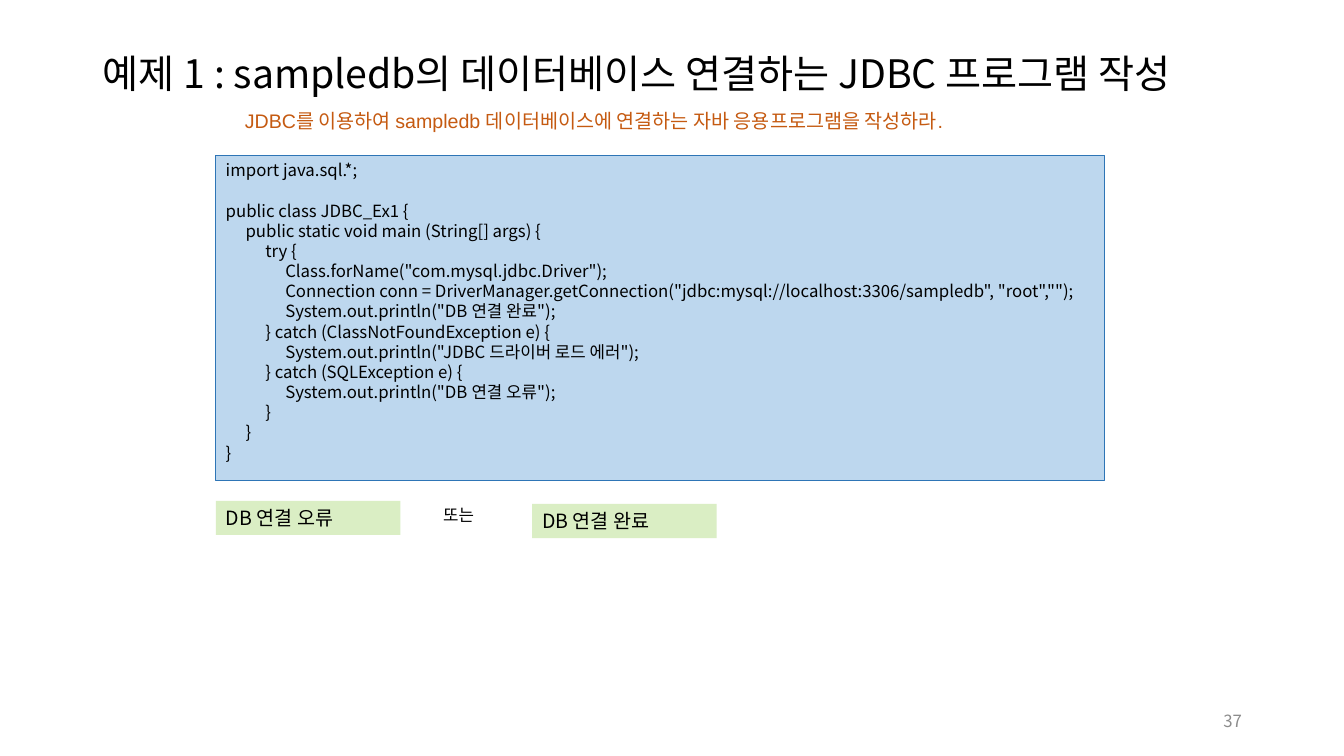
from dataclasses import dataclass
from typing import Optional

from lxml.etree import SubElement
from pptx import Presentation
from pptx.dml.color import RGBColor
from pptx.enum.shapes import MSO_SHAPE
from pptx.enum.text import MSO_ANCHOR, PP_ALIGN
from pptx.oxml.ns import qn
from pptx.slide import Slide
from pptx.util import Cm, Pt

BLACK = RGBColor(0x00, 0x00, 0x00)
GRAY = RGBColor(0x8C, 0x8C, 0x8C)
ORANGE = RGBColor(0xC5, 0x5A, 0x11)
BLUE = RGBColor(0x2E, 0x75, 0xB6)
LIGHT_BLUE = RGBColor(0xBD, 0xD7, 0xEE)
LIGHT_GREEN = RGBColor(0xDA, 0xEE, 0xC4)

KOREAN_FONT = "Noto Sans CJK KR"
CODE_LINE_HEIGHT = Pt(14.4)
CODE_INDENT = Cm(0.5)
CODE_LEVELS = 3

CODE = """import java.sql.*;

public class JDBC_Ex1 {
\tpublic static void main (String[] args) {
\t\ttry {
\t\t\tClass.forName("com.mysql.jdbc.Driver");
\t\t\tConnection conn = DriverManager.getConnection("jdbc:mysql://localhost:3306/sampledb", "root","");
\t\t\tSystem.out.println("DB 연결 완료");
\t\t} catch (ClassNotFoundException e) {
\t\t\tSystem.out.println("JDBC 드라이버 로드 에러");
\t\t} catch (SQLException e) {
\t\t\tSystem.out.println("DB 연결 오류");
\t\t}
\t}
}"""


@dataclass(frozen=True)
class Box:
    text: str
    left: float
    top: float
    width: float
    height: float
    size: float
    color: RGBColor = BLACK
    font: str = KOREAN_FONT
    fill: Optional[RGBColor] = None
    line: Optional[RGBColor] = None
    anchor: MSO_ANCHOR = MSO_ANCHOR.TOP
    align: PP_ALIGN = PP_ALIGN.LEFT
    wrap: bool = True
    is_code: bool = False


BOXES = [
    Box("예제 1 : sampledb의 데이터베이스 연결하는 JDBC 프로그램 작성",
        2.34, 0, 29.82, 3.68, 28, anchor=MSO_ANCHOR.MIDDLE),
    Box("JDBC를 이용하여 sampledb 데이터베이스에 연결하는 자바 응용프로그램을 작성하라.",
        5.92, 2.62, 22.63, 0.86, 14, color=ORANGE, font="Arial"),
    Box(CODE, 5.44, 3.91, 22.4, 8.2, 12, fill=LIGHT_BLUE, line=BLUE, is_code=True),
    Box("DB 연결 오류", 5.44, 12.62, 4.65, 0.86, 14, fill=LIGHT_GREEN),
    Box("또는", 10.92, 12.6, 1.37, 0.76, 12, wrap=False),
    Box("DB 연결 완료", 13.41, 12.7, 4.65, 0.86, 14, fill=LIGHT_GREEN),
    Box("37", 23.93, 17.65, 7.62, 1.02, 12, color=GRAY,
        anchor=MSO_ANCHOR.MIDDLE, align=PP_ALIGN.RIGHT),
]


def add_code_tabs(paragraph) -> None:
    tab_list = SubElement(paragraph._p.get_or_add_pPr(), qn("a:tabLst"))
    for level in range(1, CODE_LEVELS + 1):
        SubElement(tab_list, qn("a:tab"), pos=str(CODE_INDENT * level), algn="l")


def write_text(text_frame, box: Box) -> None:
    text_frame.word_wrap = box.wrap
    text_frame.vertical_anchor = box.anchor
    blocks = [block.split("\n") for block in box.text.split("\n\n")]
    lines = [(text, block_index > 0 and line_index == 0)
             for block_index, block in enumerate(blocks)
             for line_index, text in enumerate(block)]
    for index, (text, starts_block) in enumerate(lines):
        paragraph = text_frame.paragraphs[0] if index == 0 else text_frame.add_paragraph()
        paragraph.text = text
        paragraph.alignment = box.align
        if box.is_code:
            paragraph.line_spacing = CODE_LINE_HEIGHT
            if starts_block:
                paragraph.space_before = CODE_LINE_HEIGHT
            add_code_tabs(paragraph)
        paragraph.font.size = Pt(box.size)
        paragraph.font.name = box.font
        paragraph.font.color.rgb = box.color


def add_box(slide: Slide, box: Box) -> None:
    frame = Cm(box.left), Cm(box.top), Cm(box.width), Cm(box.height)
    if box.fill is None:
        shape = slide.shapes.add_textbox(*frame)
    else:
        shape = slide.shapes.add_shape(MSO_SHAPE.RECTANGLE, *frame)
        shape.shadow.inherit = False
        shape.fill.solid()
        shape.fill.fore_color.rgb = box.fill
        if box.line is None:
            shape.line.fill.background()
        else:
            shape.line.color.rgb = box.line
            shape.line.width = Pt(0.75)
    write_text(shape.text_frame, box)


def main() -> None:
    presentation = Presentation()
    presentation.slide_width = Cm(33.87)
    presentation.slide_height = Cm(19.05)
    slide = presentation.slides.add_slide(presentation.slide_layouts[6])
    for box in BOXES:
        add_box(slide, box)
    presentation.save("out.pptx")


if __name__ == "__main__":
    main()
